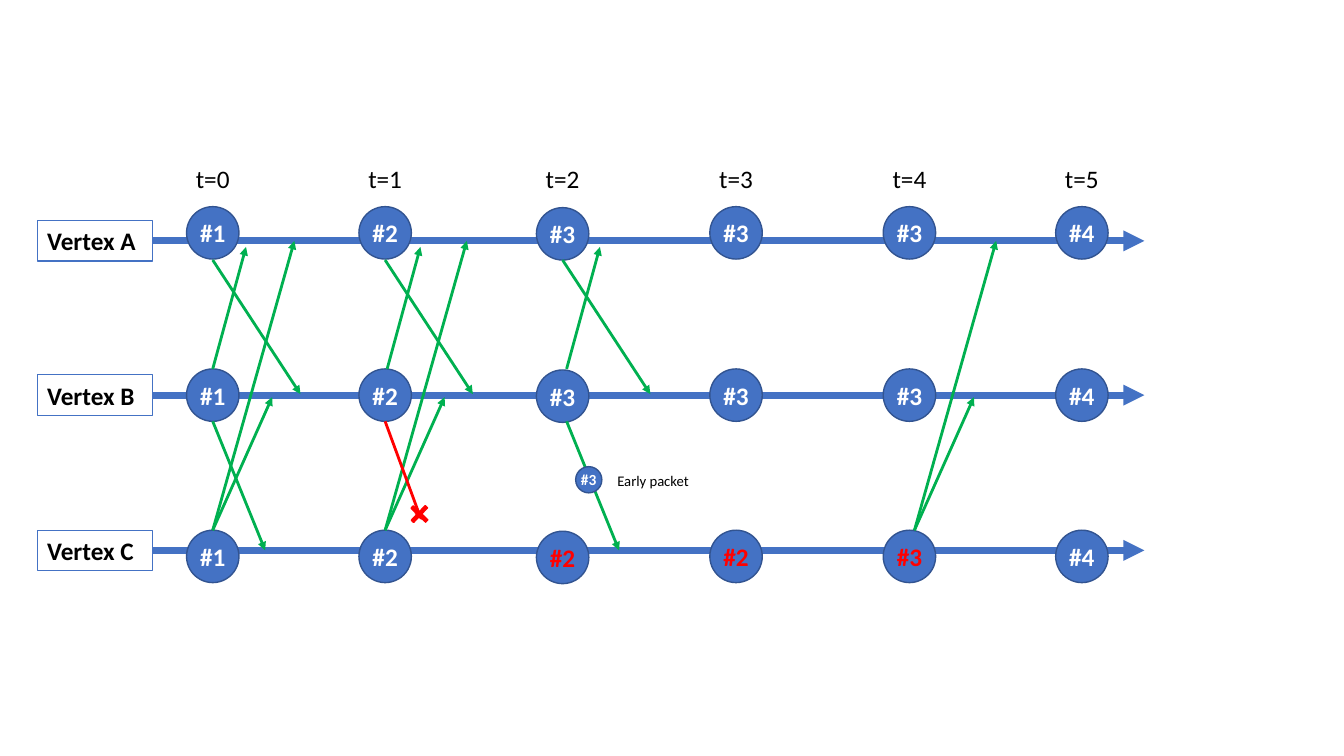
from lxml import etree
from pptx import Presentation
from pptx.dml.color import RGBColor
from pptx.enum.shapes import MSO_CONNECTOR, MSO_SHAPE
from pptx.enum.text import MSO_ANCHOR, PP_ALIGN
from pptx.oxml.ns import qn
from pptx.util import Inches, Pt

STRAIGHT = MSO_CONNECTOR.STRAIGHT
OVAL, RECTANGLE, CROSS = MSO_SHAPE.OVAL, MSO_SHAPE.RECTANGLE, MSO_SHAPE.CROSS
LEFT, CENTER = PP_ALIGN.LEFT, PP_ALIGN.CENTER
MIDDLE = MSO_ANCHOR.MIDDLE
BLUE, DARK_BLUE, GREEN, RED = "4472C4", "325491", "00B050", "FF0000"
BLACK, WHITE = "000000", "FFFFFF"

presentation = Presentation()
presentation.slide_width = Inches(13.33)
presentation.slide_height = Inches(7.5)
slide = presentation.slides.add_slide(presentation.slide_layouts[6])


def add_arrow(start, end, color, width):
    arrow = slide.shapes.add_connector(STRAIGHT, *map(Inches, start + end))
    arrow.line.color.rgb = RGBColor.from_string(color)
    arrow.line.width = Pt(width)
    etree.SubElement(arrow.line._get_or_add_ln(), qn("a:tailEnd"), type="triangle")
    etree.SubElement(arrow._element.spPr, qn("a:effectLst"))


def add_box(kind, center, size, text="", points=18, color=BLACK, bold=False,
            align=CENTER, inset=0, fill=None, outline=None, weight=1):
    corner = [middle - length / 2 for middle, length in zip(center, size)]
    bounds = [Inches(length) for length in (*corner, *size)]
    if kind is None:
        shape = slide.shapes.add_textbox(*bounds)
    else:
        shape = slide.shapes.add_shape(kind, *bounds)
        shape.shadow.inherit = False
        shape.line.color.rgb = RGBColor.from_string(outline)
        shape.line.width = Pt(weight)
        if fill:
            shape.fill.solid()
            shape.fill.fore_color.rgb = RGBColor.from_string(fill)
        else:
            shape.fill.background()
    if text:
        frame = shape.text_frame
        frame.word_wrap = False
        frame.vertical_anchor = MIDDLE
        frame.margin_left = frame.margin_right = Inches(inset)
        frame.margin_top = frame.margin_bottom = 0
        paragraph = frame.paragraphs[0]
        paragraph.text = text
        paragraph.alignment = align
        paragraph.font.name = "Calibri"
        paragraph.font.size = Pt(points)
        paragraph.font.bold = bold
        paragraph.font.color.rgb = RGBColor.from_string(color)
    return shape


columns = [2.11, 3.82, 5.58, 7.3, 9.02, 10.73]
timelines = {"A": 2.39, "B": 3.92, "C": 5.46}
node_rows = {"A": 2.31, "B": 3.92, "C": 5.52}
rounds = {"A": [1, 2, 3, 3, 3, 4], "B": [1, 2, 3, 3, 3, 4], "C": [1, 2, 2, 2, 3, 4]}
late_columns = {2, 3, 4}
node_size = 0.52

for vertex, y in timelines.items():
    add_arrow((1.51, y), (11.35, y), BLUE, 5)
    add_box(RECTANGLE, (0.94, y), (1.14, 0.4), f"Vertex {vertex}", bold=True,
            align=LEFT, inset=0.1, outline=BLUE, weight=0.75)

for column, x in enumerate(columns):
    add_box(None, (x, 1.77), (0.6, 0.4), f"t={column}")
    for vertex, y in node_rows.items():
        late = vertex == "C" and column in late_columns
        add_box(OVAL, (x, y + 0.01 * (column == 2)), (node_size, node_size),
                f"#{rounds[vertex][column]}", color=RED if late else WHITE,
                bold=True, fill=BLUE, outline=DARK_BLUE)

routes = {
    "C to A": (5.26, 2.39, 0.81),
    "C to B": (5.26, 3.94, 0.59),
    "B to C": (4.18, 5.46, 0.52),
    "A to B": (2.58, 3.91, 0.87),
    "B to A": (3.66, 2.45, 0.33),
    "B lost": (4.18, 5.16, 0.36),
}
messages = {
    "C to A": {0: 0, 1: 0, 4: 0.05},
    "C to B": {0: 0, 1: 0, 4: 0.05},
    "B to C": {0: 0, 2: 0.04},
    "A to B": {0: 0, 1: 0, 2: 0},
    "B to A": {0: 0, 1: 0.02, 2: 0.04},
    "B lost": {1: 0},
}
for route, departures in messages.items():
    top, bottom, drift = routes[route]
    for column, shift in departures.items():
        x = columns[column] + shift
        add_arrow((x, top), (x + drift, bottom), RED if route == "B lost" else GREEN, 2)

loss_mark = add_box(CROSS, (4.16, 5.1), (0.2, 0.2), fill=RED, outline=RED)
loss_mark.adjustments[0] = 0.42
loss_mark.rotation = 43.5

add_box(OVAL, (5.84, 4.76), (node_size / 2, node_size / 2), "#3", points=11,
        color=WHITE, bold=True, fill=BLUE, outline=DARK_BLUE)
add_box(None, (6.6, 4.77), (1.15, 0.29), "Early packet", points=10.5,
        align=LEFT, inset=0.1)

presentation.save("out.pptx")
